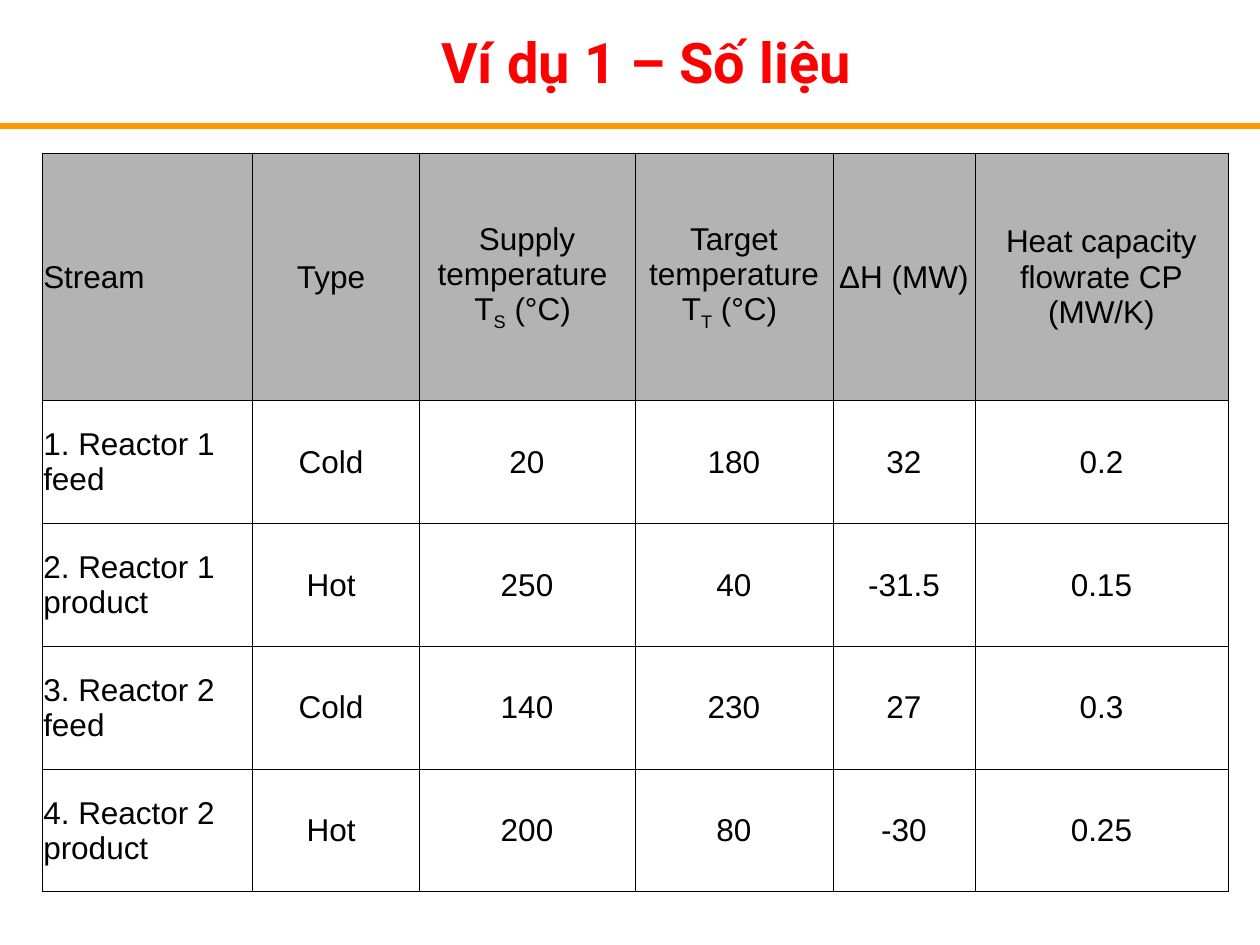
"""Build the stream data slide: a title, a rule and a table of process streams."""

import dataclasses
import typing

import lxml.etree
import pptx
import pptx.dml.color
import pptx.enum.shapes
import pptx.enum.text
import pptx.oxml.ns
import pptx.presentation
import pptx.shapes.autoshape
import pptx.slide
import pptx.table
import pptx.text.text
import pptx.util

PX = 914400 / 126
COLORS = {
    "title": "FF0000",
    "rule": "FF9900",
    "header": "B3B3B3",
    "ink": "000000",
}
ALIGN = pptx.enum.text.PP_ALIGN
ANCHOR = pptx.enum.text.MSO_ANCHOR


@dataclasses.dataclass(frozen=True)
class Piece:
    text: str
    subscript: bool = False


@dataclasses.dataclass(frozen=True)
class Stream:
    name: str
    kind: str
    supply: str
    target: str
    enthalpy: str
    capacity: str


Lines = tuple[tuple[Piece, ...], ...]


@dataclasses.dataclass(frozen=True)
class Column:
    width: int
    heading: Lines
    align: ALIGN = ALIGN.CENTER


COLUMNS = (
    Column(210, ((Piece("Stream"),),), ALIGN.LEFT),
    Column(167, ((Piece("Type "),),)),
    Column(216, (
        (Piece("Supply temperature "),),
        (Piece("T"), Piece("S", True), Piece(" (°C) ")),
    )),
    Column(198, ((Piece("Target temperature T"), Piece("T", True), Piece(" (°C) ")),)),
    Column(142, ((Piece("ΔH (MW)"),),)),
    Column(253, ((Piece("Heat capacity flowrate CP"), Piece("\n"), Piece("(MW/K)")),)),
)
STREAMS = (
    Stream("1. Reactor 1 feed", "Cold ", "20", "180", "32", "0.2"),
    Stream("2. Reactor 1 product", "Hot ", "250", "40", "-31.5", "0.15"),
    Stream("3. Reactor 2 feed", "Cold ", "140", "230", "27", "0.3"),
    Stream("4. Reactor 2 product", "Hot ", "200", "80", "-30", "0.25"),
)
HEADER_HEIGHT, STREAM_HEIGHT = 247, 123
TITLE_FONT = {"name": "Roboto", "size": pptx.util.Pt(32), "bold": True}
CELL_FONT = {"name": "Arial", "size": pptx.util.Pt(18), "bold": False}
CELL_FORMAT = {
    "vertical_anchor": ANCHOR.MIDDLE,
    "margin_left": pptx.util.Inches(0.01),
    "margin_right": pptx.util.Inches(0.01),
    "margin_top": pptx.util.Inches(0.01),
    "margin_bottom": 0,
}


def px(length: int) -> pptx.util.Emu:
    """Turn pixels into EMU."""
    return pptx.util.Emu(round(length * PX))


def rgb(name: str) -> pptx.dml.color.RGBColor:
    """Look up a named colour."""
    return pptx.dml.color.RGBColor.from_string(COLORS[name])


def apply(target: object, values: dict[str, typing.Any]) -> None:
    """Set attributes from a dict of format values."""
    for name, value in values.items():
        setattr(target, name, value)


def style_font(font: pptx.text.text.Font, values: dict[str, typing.Any], color: str) -> None:
    """Apply font values and a colour."""
    apply(font, values)
    font.color.rgb = rgb(color)


def add_title(slide: pptx.slide.Slide, text: str) -> None:
    """Add the centred slide title."""
    shape = slide.shapes.add_textbox(px(179), px(21), px(935), px(79))
    shape.text_frame.word_wrap = True
    paragraph = shape.text_frame.paragraphs[0]
    paragraph.alignment = ALIGN.CENTER
    run = paragraph.add_run()
    run.text = text
    style_font(run.font, TITLE_FONT, "title")


def add_rule(slide: pptx.slide.Slide) -> None:
    """Add the full-width line below the title."""
    rule = slide.shapes.add_connector(
        pptx.enum.shapes.MSO_CONNECTOR.STRAIGHT, 0, px(126), px(1260), px(126))
    rule.line.color.rgb = rgb("rule")
    rule.line.width = pptx.util.Pt(3)
    lxml.etree.SubElement(rule._element.spPr, pptx.oxml.ns.qn("a:effectLst"))


def add_borders(cell: pptx.table._Cell) -> None:
    """Draw a thin line on each side of a cell."""
    properties = cell._tc.get_or_add_tcPr()
    for side in ("a:lnL", "a:lnR", "a:lnT", "a:lnB"):
        line = lxml.etree.SubElement(
            properties, pptx.oxml.ns.qn(side), w=str(pptx.util.Pt(0.5)))
        fill = lxml.etree.SubElement(line, pptx.oxml.ns.qn("a:solidFill"))
        lxml.etree.SubElement(fill, pptx.oxml.ns.qn("a:srgbClr"), val=COLORS["ink"])


def fill_cell(cell: pptx.table._Cell, lines: Lines, align: ALIGN, is_header: bool) -> None:
    """Format a cell and write its paragraphs."""
    apply(cell, CELL_FORMAT)
    add_borders(cell)
    if is_header:
        cell.fill.solid()
        cell.fill.fore_color.rgb = rgb("header")
    else:
        cell.fill.background()
    frame = cell.text_frame
    for index, pieces in enumerate(lines):
        paragraph = frame.add_paragraph() if index else frame.paragraphs[0]
        paragraph.alignment = align
        for piece in pieces:
            if piece.text == "\n":
                paragraph.add_line_break()
                continue
            run = paragraph.add_run()
            run.text = piece.text
            style_font(run.font, CELL_FONT, "ink")
            if piece.subscript:
                run._r.get_or_add_rPr().set("baseline", "-25000")


def add_stream_table(slide: pptx.slide.Slide) -> None:
    """Add the table of stream data."""
    heights = [HEADER_HEIGHT] + [STREAM_HEIGHT] * len(STREAMS)
    width = sum(column.width for column in COLUMNS)
    table = slide.shapes.add_table(
        len(heights), len(COLUMNS), px(42), px(153), px(width), px(sum(heights))).table
    for row, height in zip(table.rows, heights):
        row.height = px(height)
    for index, column in enumerate(COLUMNS):
        table.columns[index].width = px(column.width)
        fill_cell(table.cell(0, index), column.heading, column.align, True)
        for row_index, stream in enumerate(STREAMS, start=1):
            value = dataclasses.astuple(stream)[index]
            fill_cell(table.cell(row_index, index), ((Piece(value),),), column.align, False)


def main() -> None:
    """Build and save the presentation."""
    presentation = pptx.Presentation()
    apply(presentation, {"slide_width": px(1260), "slide_height": px(945)})
    slide = presentation.slides.add_slide(presentation.slide_layouts[6])
    add_title(slide, "Ví dụ 1 – Số liệu")
    add_rule(slide)
    add_stream_table(slide)
    presentation.save("out.pptx")


if __name__ == "__main__":
    main()
